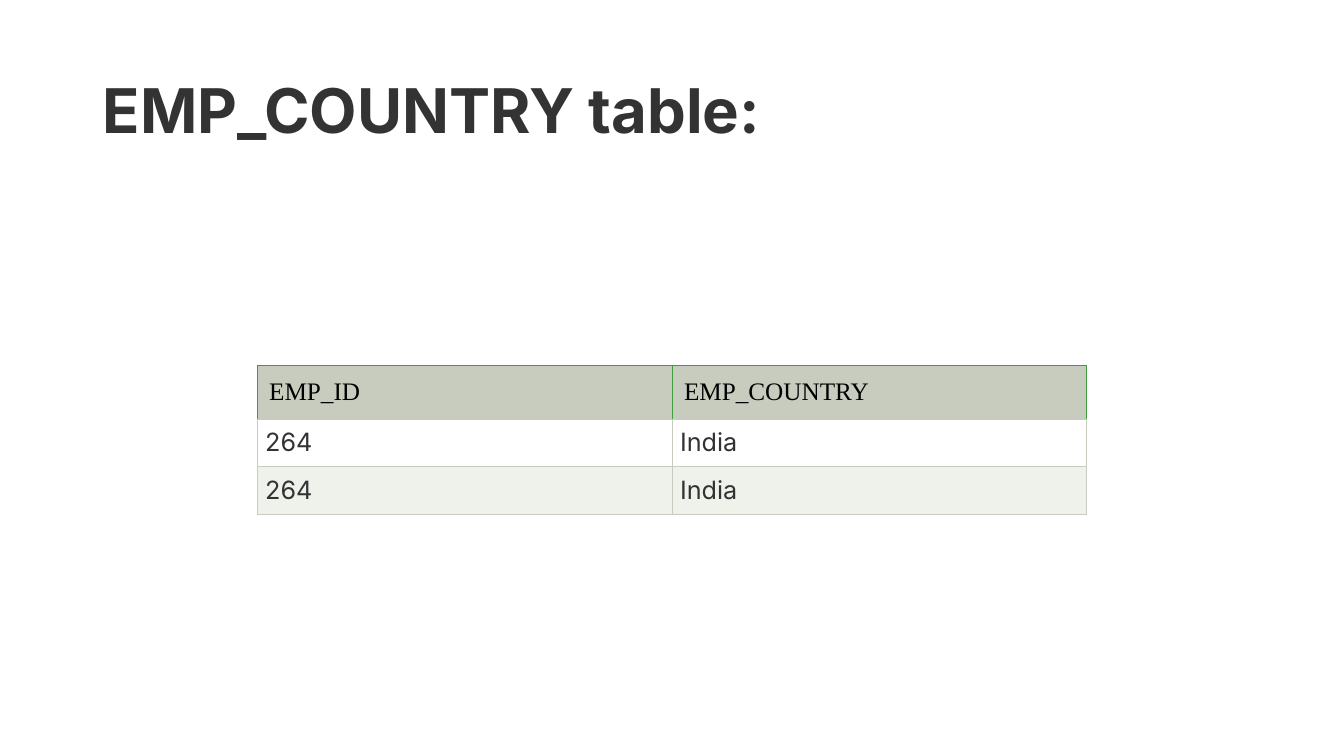
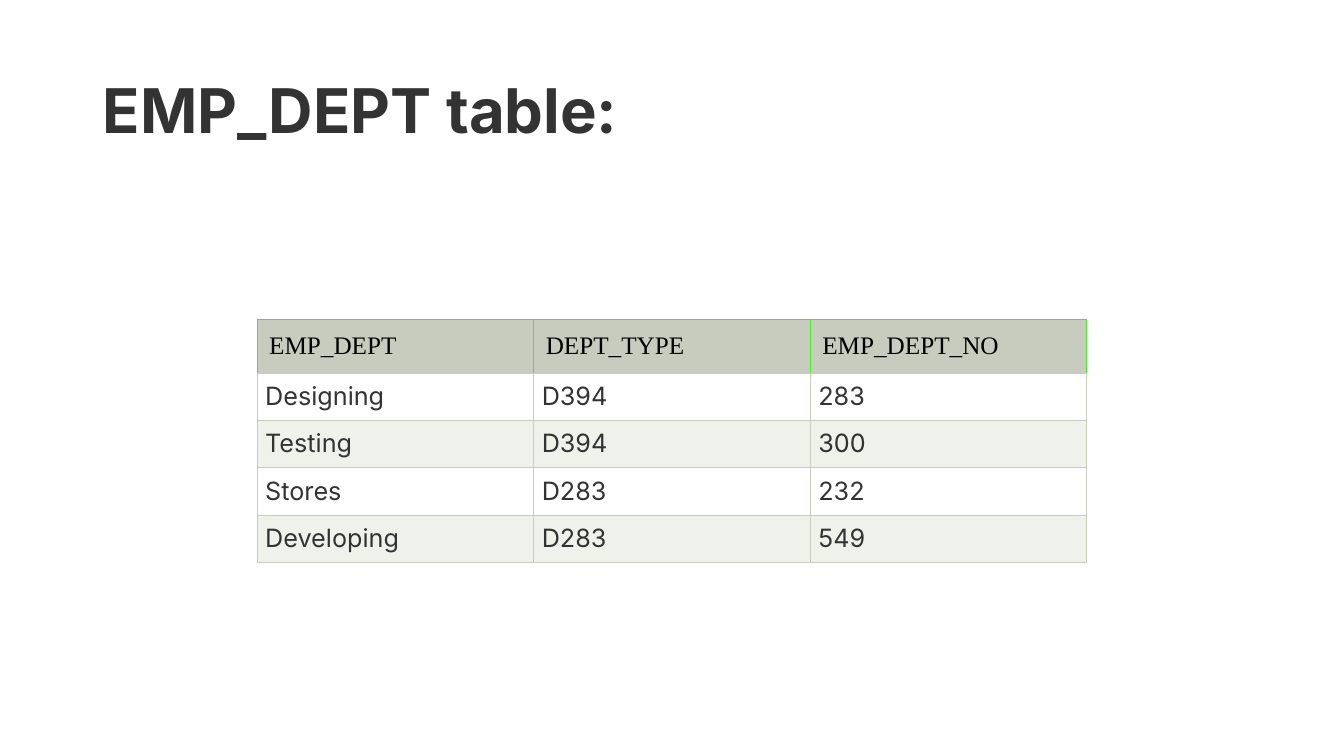
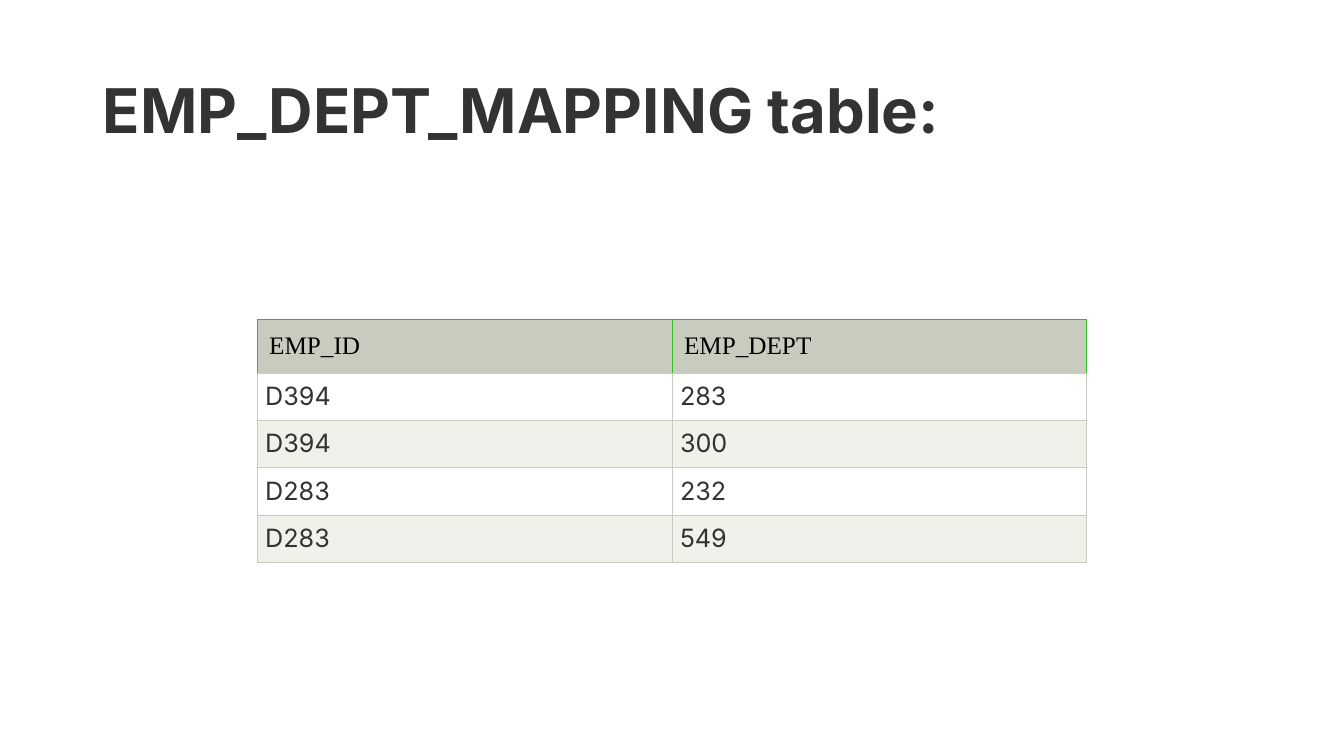
from dataclasses import dataclass

from lxml.etree import SubElement
from pptx import Presentation
from pptx.dml.color import RGBColor
from pptx.enum.text import MSO_ANCHOR, MSO_AUTO_SIZE, PP_ALIGN
from pptx.oxml.ns import qn
from pptx.presentation import Presentation as Deck
from pptx.slide import Slide
from pptx.table import _Cell
from pptx.util import Inches, Pt

INK = RGBColor(0x33, 0x33, 0x33)
BLACK = RGBColor(0x00, 0x00, 0x00)
WHITE = RGBColor(0xFF, 0xFF, 0xFF)
SAGE = RGBColor(0xC7, 0xCC, 0xBE)
PALE_SAGE = RGBColor(0xEF, 0xF1, 0xEB)
FOREST = RGBColor(0x40, 0x9C, 0x38)
LIME = RGBColor(0x40, 0xF1, 0x27)
GREEN = RGBColor(0x30, 0xBF, 0x22)
SILVER = RGBColor(0xA0, 0xA0, 0xA0)
GRAY = RGBColor(0x80, 0x80, 0x80)

TABLE_LEFT, TABLE_WIDTH = 2.55, 8.23
HEADER_HEIGHT, ROW_HEIGHT = 0.53, 0.47
BORDER_WIDTH = Pt(0.75)


@dataclass(frozen=True)
class CellStyle:
    font: str
    color: RGBColor
    fill: RGBColor
    inset: float
    align: PP_ALIGN


@dataclass(frozen=True)
class TableSlide:
    title: str
    table_top: float
    header_top: RGBColor
    header_sides: list[RGBColor]  # vertical header edges, left to right
    rows: list[list[str]]


HEADER = CellStyle("Times New Roman", BLACK, SAGE, 0.12, PP_ALIGN.LEFT)
BODY_STYLES = [
    CellStyle("Inter", INK, fill, 0.08, PP_ALIGN.JUSTIFY) for fill in (WHITE, PALE_SAGE)
]

TABLE_SLIDES = [
    TableSlide("EMP_COUNTRY table:", 3.63, FOREST, [FOREST] * 3, [
        ["EMP_ID", "EMP_COUNTRY"],
        ["264", "India"],
        ["264", "India"],
    ]),
    TableSlide("EMP_DEPT table:", 3.17, SILVER, [SILVER, SILVER, LIME, LIME], [
        ["EMP_DEPT", "DEPT_TYPE", "EMP_DEPT_NO"],
        ["Designing", "D394", "283"],
        ["Testing", "D394", "300"],
        ["Stores", "D283", "232"],
        ["Developing", "D283", "549"],
    ]),
    TableSlide("EMP_DEPT_MAPPING table:", 3.17, GRAY, [GRAY, GREEN, GREEN], [
        ["EMP_ID", "EMP_DEPT"],
        ["D394", "283"],
        ["D394", "300"],
        ["D283", "232"],
        ["D283", "549"],
    ]),
]


def write_title(slide: Slide, text: str) -> None:
    title = slide.shapes.title
    title.left, title.top = Inches(0.92), Inches(0.4)
    title.width, title.height = Inches(11.5), Inches(1.45)
    frame = title.text_frame
    frame.text = text
    frame.auto_size = MSO_AUTO_SIZE.NONE
    frame.vertical_anchor = MSO_ANCHOR.MIDDLE
    heading = frame.paragraphs[0]
    heading.alignment = PP_ALIGN.LEFT
    heading.line_spacing = 0.9
    heading.font.name, heading.font.size = "Inter", Pt(44)
    heading.font.bold = True
    heading.font.color.rgb = INK


def set_borders(cell: _Cell, left: RGBColor, right: RGBColor, top: RGBColor,
                bottom: RGBColor) -> None:
    """Put the four edge lines ahead of the cell's fill, as the schema requires."""
    properties = cell._tc.get_or_add_tcPr()
    edges = zip(("a:lnL", "a:lnR", "a:lnT", "a:lnB"), (left, right, top, bottom))
    for position, (tag, color) in enumerate(edges):
        line = SubElement(properties, qn(tag), w=str(BORDER_WIDTH))
        solid = SubElement(line, qn("a:solidFill"))
        SubElement(solid, qn("a:srgbClr"), val=str(color))
        properties.insert(position, line)


def write_cell(cell: _Cell, text: str, style: CellStyle) -> None:
    cell.text = text
    cell.margin_left = cell.margin_right = Inches(style.inset)
    cell.margin_top = cell.margin_bottom = Inches(style.inset)
    cell.fill.solid()
    cell.fill.fore_color.rgb = style.fill
    entry = cell.text_frame.paragraphs[0]
    entry.alignment = style.align
    entry.font.name, entry.font.size = style.font, Pt(18)
    entry.font.color.rgb = style.color


def add_data_table(slide: Slide, content: TableSlide) -> None:
    row_count, column_count = len(content.rows), len(content.rows[0])
    height = HEADER_HEIGHT + ROW_HEIGHT * (row_count - 1)
    table = slide.shapes.add_table(
        row_count, column_count, Inches(TABLE_LEFT), Inches(content.table_top),
        Inches(TABLE_WIDTH), Inches(height),
    ).table
    table.first_row = table.horz_banding = False
    for row_index, values in enumerate(content.rows):
        is_header = row_index == 0
        table.rows[row_index].height = Inches(HEADER_HEIGHT if is_header else ROW_HEIGHT)
        style = HEADER if is_header else BODY_STYLES[(row_index - 1) % 2]
        sides = content.header_sides if is_header else [SAGE] * (column_count + 1)
        top = content.header_top if is_header else SAGE
        for column, value in enumerate(values):
            cell = table.cell(row_index, column)
            write_cell(cell, value, style)
            set_borders(cell, sides[column], sides[column + 1], top, SAGE)


def add_table_slide(deck: Deck, content: TableSlide) -> None:
    title_only = deck.slide_layouts.get_by_name("Title Only")
    slide = deck.slides.add_slide(title_only)
    write_title(slide, content.title)
    add_data_table(slide, content)


def main() -> None:
    deck = Presentation()
    deck.slide_width, deck.slide_height = Inches(13.33), Inches(7.5)
    for content in TABLE_SLIDES:
        add_table_slide(deck, content)
    deck.save("out.pptx")


if __name__ == "__main__":
    main()
